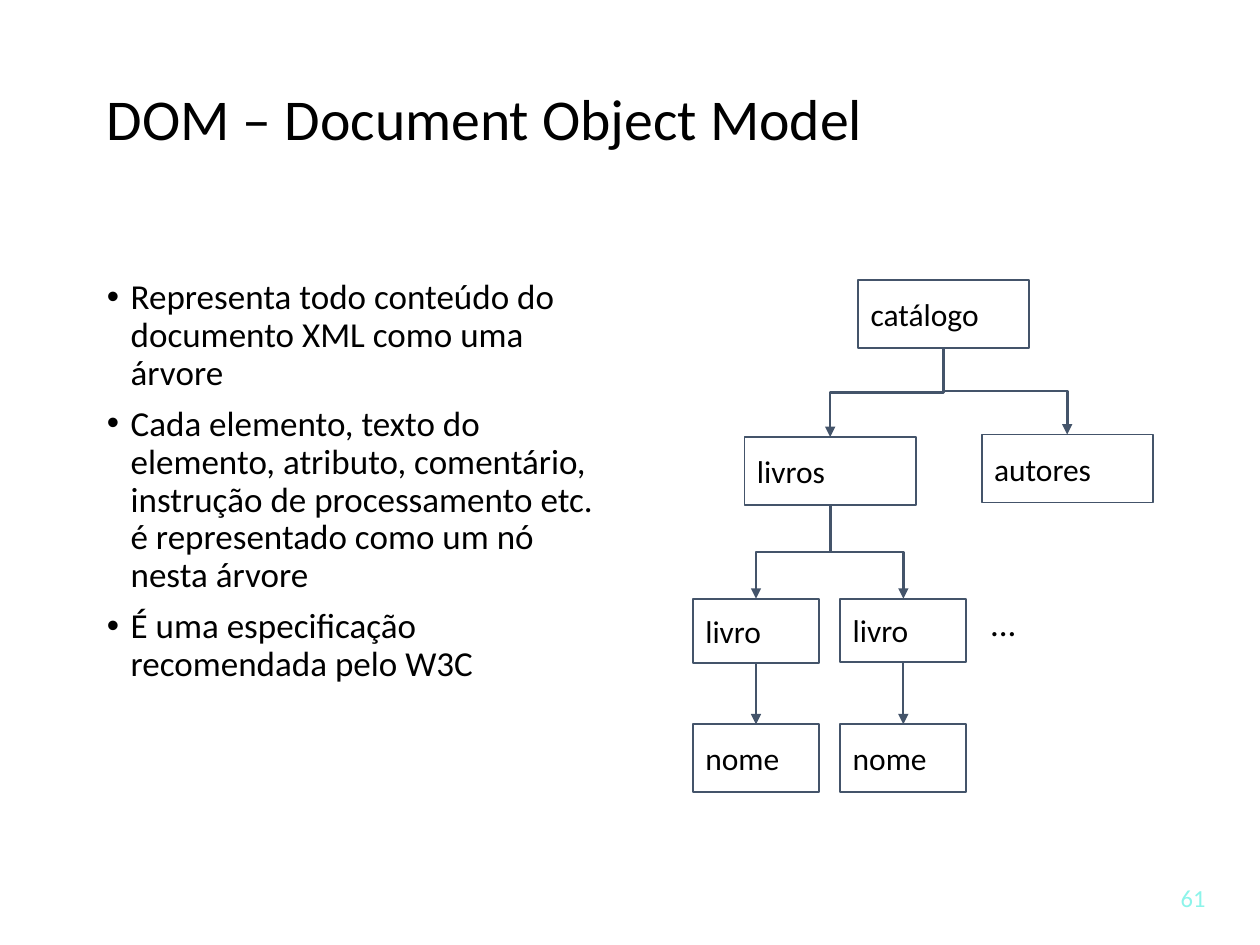
from dataclasses import dataclass

from lxml.etree import SubElement
from pptx import Presentation
from pptx.dml.color import RGBColor as RGB
from pptx.enum.shapes import MSO_CONNECTOR as LINK, MSO_SHAPE as SHAPE
from pptx.enum.text import MSO_ANCHOR as ANCHOR, MSO_AUTO_SIZE as FIT, PP_ALIGN as ALIGN
from pptx.oxml.ns import qn
from pptx.util import Cm, Pt


@dataclass(frozen=True)
class Theme:
    font: str = "Calibri"
    ink: RGB = RGB(0, 0, 0)
    edge: RGB = RGB(0x44, 0x54, 0x6A)
    mint: RGB = RGB(0x8C, 0xF4, 0xEA)
    title: int = 33
    body: int = 20
    node: int = 18
    num: int = 14


THEME = Theme()

POINTS = [
    "Representa todo conteúdo do documento XML como uma árvore",
    "Cada elemento, texto do elemento, atributo, comentário, instrução de "
    "processamento etc. é representado como um nó nesta árvore",
    "É uma especificação recomendada pelo W3C",
]

# Tree nodes: key -> label, left, top, width, height in cm
NODES = {
    "root": ("catálogo", 17.3, 5.64, 3.45, 1.37),
    "books": ("livros", 15.01, 8.81, 3.45, 1.37),
    "authors": ("autores", 19.79, 8.76, 3.45, 1.37),
    "book1": ("livro", 13.97, 12.07, 2.54, 1.3),
    "book2": ("livro", 16.94, 12.07, 2.54, 1.27),
    "name1": ("nome", 13.97, 14.6, 2.54, 1.37),
    "name2": ("nome", 16.94, 14.6, 2.54, 1.37),
}
EDGES = [
    ("root", "books"), ("root", "authors"),
    ("books", "book1"), ("books", "book2"),
    ("book1", "name1"), ("book2", "name2"),
]


def style(frame, size, color=THEME.ink):
    for para in frame.paragraphs:
        para.alignment = ALIGN.LEFT
        for run in para.runs:
            run.font.name = THEME.font
            run.font.size = Pt(size)
            run.font.color.rgb = color


def fill_holder(holder, box, text, size):
    holder.left, holder.top, holder.width, holder.height = map(Cm, box)
    frame = holder.text_frame
    frame.text = text
    frame.auto_size = FIT.NONE
    frame.vertical_anchor = ANCHOR.TOP
    style(frame, size)
    for para in frame.paragraphs:
        para.line_spacing = 0.9
    return frame


def add_list(holder, box, items):
    frame = fill_holder(holder, box, "\n".join(items), THEME.body)
    for para in frame.paragraphs:
        para.space_before = Pt(7.5)
        props = para._p.get_or_add_pPr()
        props.set("marL", str(Cm(0.48)))
        props.set("indent", str(-Cm(0.48)))
        SubElement(props, qn("a:buFont"), typeface="Arial")
        SubElement(props, qn("a:buChar"), char="•")


def add_label(slide, text, box, size, color=THEME.ink, anchor=ANCHOR.MIDDLE):
    frame = slide.shapes.add_textbox(*map(Cm, box)).text_frame
    frame.text = text
    frame.word_wrap = True
    frame.vertical_anchor = anchor
    style(frame, size, color)


def add_node(slide, text, *box):
    node = slide.shapes.add_shape(SHAPE.RECTANGLE, *map(Cm, box))
    node.shadow.inherit = False
    node.fill.background()
    node.line.color.rgb = THEME.edge
    node.line.width = Pt(1)
    frame = node.text_frame
    frame.text = text
    frame.word_wrap = True
    frame.vertical_anchor = ANCHOR.MIDDLE
    style(frame, THEME.node)
    return node


def add_edge(slide, top, low):
    x1, y1 = top.left + top.width // 2, top.top + top.height
    x2, y2 = low.left + low.width // 2, low.top
    dx, dy = x2 - x1, y2 - y1
    if dx == 0:
        line = slide.shapes.add_connector(LINK.STRAIGHT, x1, y1, x2, y2)
    else:
        # A quarter turn makes the elbow leave downwards
        side = 1 if dx > 0 else -1
        mx, my = (x1 + x2) // 2, (y1 + y2) // 2
        half, rise = side * dy // 2, abs(dx) // 2
        line = slide.shapes.add_connector(
            LINK.ELBOW, mx + half, my - rise, mx - half, my + rise)
        turn = 270 if dx > 0 else 90
        line._element.spPr.find(qn("a:xfrm")).set("rot", str(turn * 60000))
    line.line.color.rgb = THEME.edge
    line.line.width = Pt(1.5 if dx else 1)
    SubElement(line.line._get_or_add_ln(), qn("a:tailEnd"), type="triangle")
    SubElement(line._element.spPr, qn("a:effectLst"))


def main():
    deck = Presentation()
    deck.slide_width, deck.slide_height = Cm(25.4), Cm(19.05)
    slide = deck.slides.add_slide(deck.slide_layouts[1])

    # Title and list
    fill_holder(slide.shapes.title, (1.9, 1.7, 21.6, 3.18),
                "DOM – Document Object Model", THEME.title)
    add_list(slide.placeholders[1], (1.9, 5.51, 10.6, 11.43), POINTS)

    # Tree
    nodes = {key: add_node(slide, *data) for key, data in NODES.items()}
    for top, low in EDGES:
        add_edge(slide, nodes[top], nodes[low])
    add_label(slide, "...", (19.71, 12.22, 1.45, 0.64), THEME.body)

    # Slide number
    add_label(slide, " 61", (23.44, 17.68, 1.42, 0.84), THEME.num,
              THEME.mint, ANCHOR.TOP)

    deck.save("out.pptx")


main()
